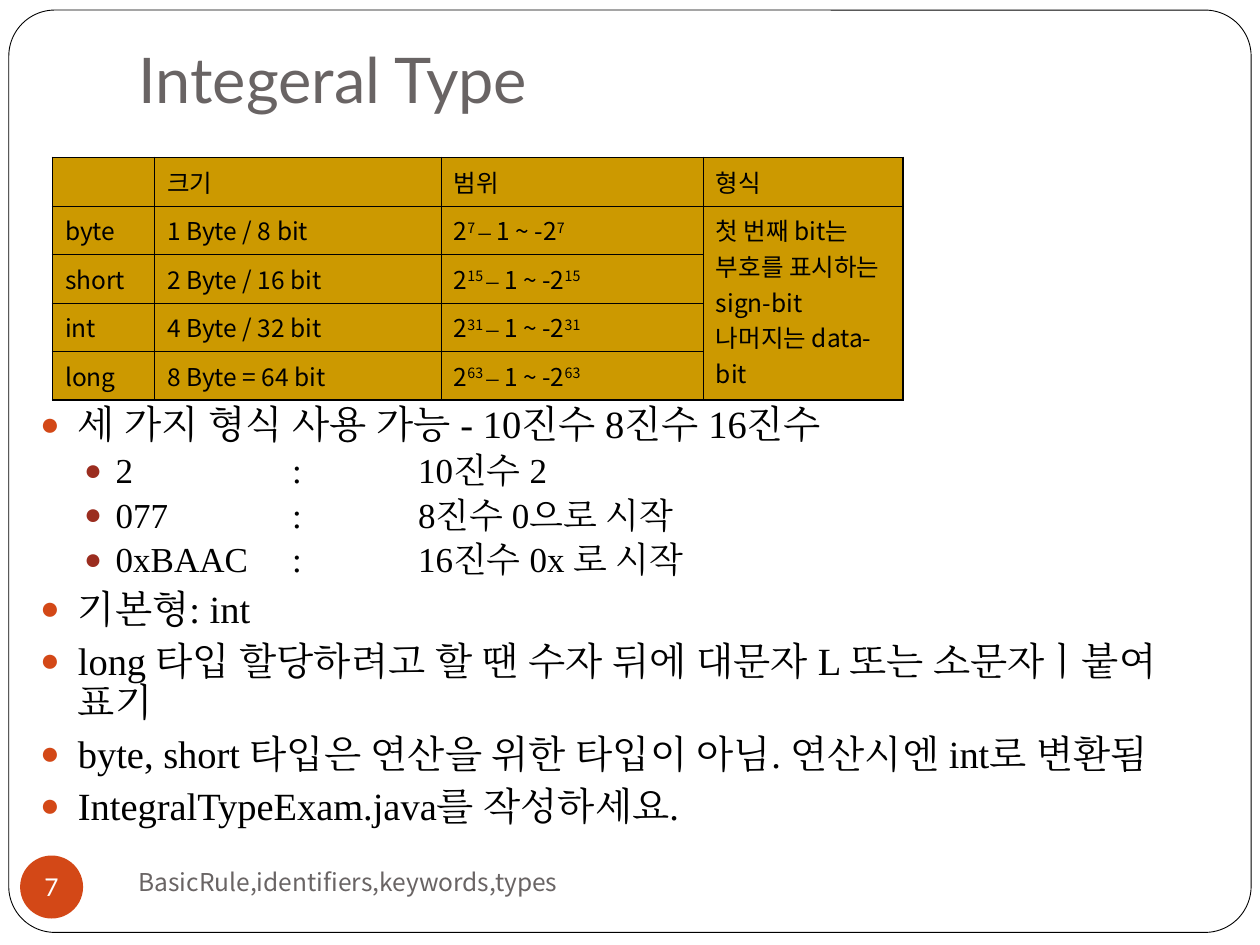
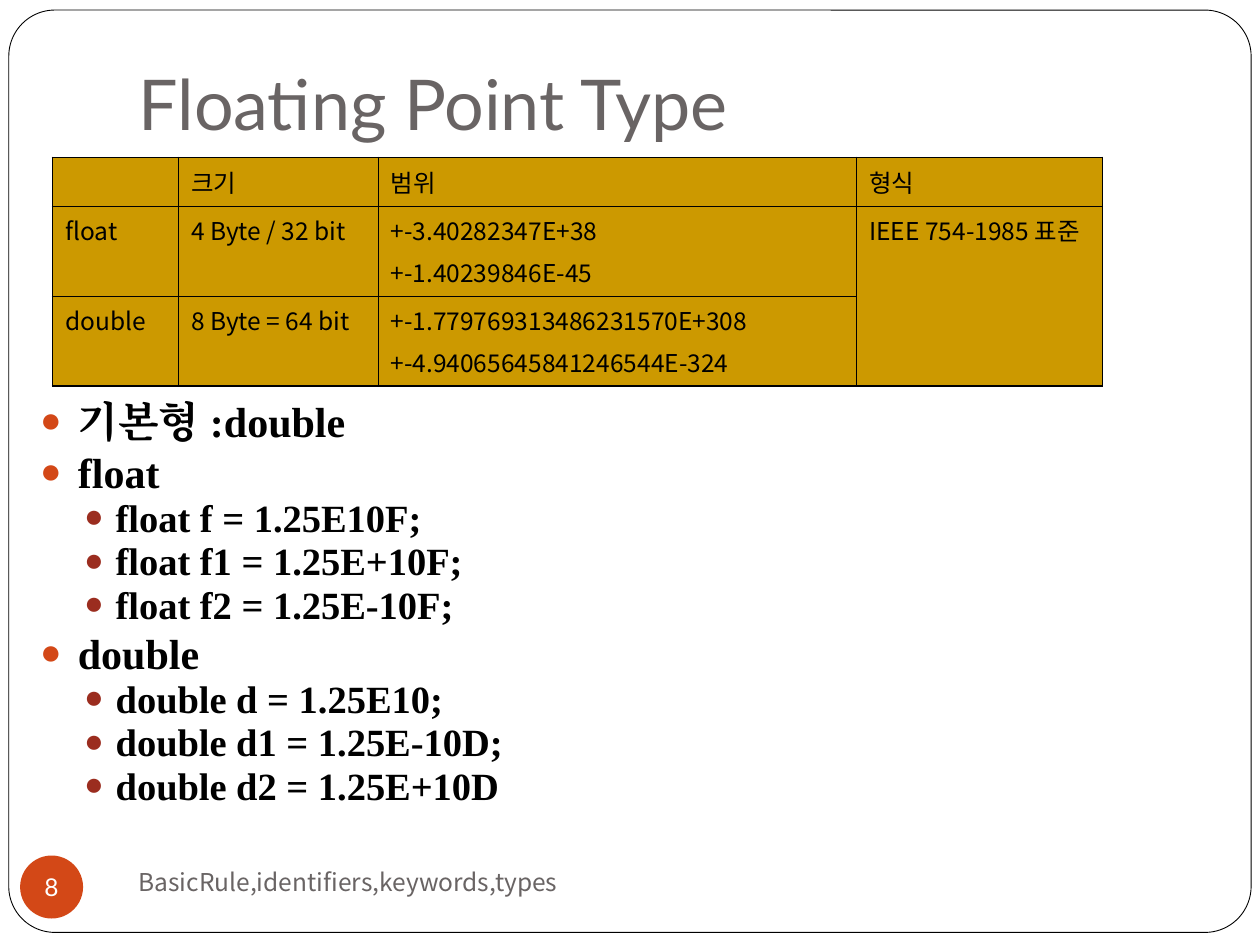
"""Builds two slides on the integral and floating point types of Java."""
from dataclasses import dataclass

from lxml.etree import SubElement
from pptx import Presentation
from pptx.dml.color import RGBColor
from pptx.enum.shapes import MSO_SHAPE
from pptx.enum.text import MSO_ANCHOR, PP_ALIGN
from pptx.oxml.ns import qn
from pptx.util import Inches, Pt

WIDTH, HEIGHT = Inches(10), Inches(7.5)
COLUMN, ROW = WIDTH / 100, HEIGHT / 75

BLACK = RGBColor(0x00, 0x00, 0x00)
WHITE = RGBColor(0xFF, 0xFF, 0xFF)
GRAY = RGBColor(0x69, 0x64, 0x64)
ORANGE = RGBColor(0xD3, 0x48, 0x17)
BRICK = RGBColor(0x9B, 0x2D, 0x1F)
OCHRE = RGBColor(0xCC, 0x99, 0x00)

HEADING_FONT, KOREAN_FONT, BODY_FONT = "Lato", "Noto Sans CJK KR", "Times New Roman"
FOOTER = "BasicRule,identifiers,keywords,types"
HEADER = ("", "크기", "범위", "형식")
OUTER_EDGE, INNER_EDGE = Pt(1.08), Pt(0.45)
CELL_SIZE = 14


@dataclass(frozen=True)
class Area:
    """A rectangle in columns and rows of the slide grid."""
    left: float
    top: float
    width: float
    height: float

    def place(self) -> tuple[int, int, int, int]:
        """Return left, top, width and height as lengths."""
        return (int(self.left * COLUMN), int(self.top * ROW),
                int(self.width * COLUMN), int(self.height * ROW))


FRAME_AREA = Area(0.7, 0.8, 98.6, 73.2)
FOOTER_AREA = Area(10, 67.5, 43.3, 5)
BADGE_AREA = Area(1.6, 67.9, 5, 5)
BODY_AREA = Area(2.2, 31.7, 96.7, 36.3)
TABLE_LEFT, TABLE_TOP, HEADER_HEIGHT = 4.17, 12.5, 3.85


@dataclass(frozen=True)
class Power:
    """The range of an integer type, given by its exponent."""
    exponent: int


@dataclass(frozen=True)
class BulletLevel:
    """Indents, spacing and bullet colour of one outline level."""
    margin: float
    hanging: float
    space_before: float
    color: RGBColor


LEVELS = (BulletLevel(0.3, 0.3, 5.8, ORANGE), BulletLevel(0.6, 0.25, 3.7, BRICK))


@dataclass(frozen=True)
class TypeTable:
    """Column widths, row height, body rows and the note beside them."""
    columns: tuple[float, ...]
    row_height: float
    rows: tuple[tuple[str | Power, ...], ...]
    note: str


@dataclass(frozen=True)
class Outline:
    """Bulleted lines as pairs of level and text, with their style."""
    lines: tuple[tuple[int, str], ...]
    sizes: tuple[int, int]
    line_spacing: float
    bold: bool = False


@dataclass(frozen=True)
class Topic:
    """The content of one slide."""
    number: int
    title: str
    title_size: int
    title_height: float
    table: TypeTable
    outline: Outline


INTEGRAL = Topic(
    7, "Integeral Type", 36, 7.2,
    TypeTable(
        (8.1, 22.75, 20.8, 15.85), 3.85,
        (("byte", "1 Byte / 8 bit", Power(7)),
         ("short", "2 Byte / 16 bit", Power(15)),
         ("int", "4 Byte / 32 bit", Power(31)),
         ("long", "8 Byte = 64 bit", Power(63))),
        "첫 번째 bit는 부호를 표시하는 sign-bit 나머지는 data-bit"),
    Outline(
        ((0, "세 가지 형식 사용 가능 - 10진수 8진수 16진수"),
         (1, "2\t\t:\t10진수 2"),
         (1, "077\t:\t8진수 0으로 시작"),
         (1, "0xBAAC\t:\t16진수 0x 로 시작"),
         (0, "기본형: int"),
         (0, "long 타입 할당하려고 할 땐 수자 뒤에 대문자 L 또는 소문자ㅣ붙여 표기"),
         (0, "byte, short 타입은 연산을 위한 타입이 아님. 연산시엔 int로 변환됨"),
         (0, "IntegralTypeExam.java를 작성하세요.")),
        (22, 20), 0.9))

FLOATING = Topic(
    8, "Floating Point Type", 40, 9.5,
    TypeTable(
        (10, 15.83, 38, 19.5), 7.15,
        (("float", "4 Byte / 32 bit", "+-3.40282347E+38\n+-1.40239846E-45"),
         ("double", "8 Byte = 64 bit",
          "+-1.779769313486231570E+308\n+-4.94065645841246544E-324")),
        "IEEE 754-1985 표준"),
    Outline(
        ((0, "기본형 :double"),
         (0, "float"),
         (1, "float f = 1.25E10F;"),
         (1, "float f1 = 1.25E+10F;"),
         (1, "float f2 = 1.25E-10F;"),
         (0, "double"),
         (1, "double d = 1.25E10;"),
         (1, "double d1 = 1.25E-10D;"),
         (1, "double d2 = 1.25E+10D")),
        (24, 22), 0.8, True))


def style_runs(paragraph, font: str, size: float, color: RGBColor, bold: bool = False) -> None:
    """Format every run of a paragraph, Latin and Hangul alike."""
    for run in paragraph.runs:
        run.font.name, run.font.size, run.font.bold = font, Pt(size), bold
        run.font.color.rgb = color
        SubElement(run.font._element, qn("a:ea"), typeface=font)


def draw_title(slide, topic: Topic) -> None:
    """Place and format the title placeholder."""
    title = slide.shapes.title
    title.left, title.top, title.width, title.height = Area(10, 3, 85, topic.title_height).place()
    frame = title.text_frame
    frame.text = topic.title
    frame.vertical_anchor = MSO_ANCHOR.BOTTOM
    frame.margin_bottom = Inches(0.1)
    frame.paragraphs[0].alignment = PP_ALIGN.LEFT
    style_runs(frame.paragraphs[0], HEADING_FONT, topic.title_size, GRAY)


def draw_frame(slide) -> None:
    """Draw the rounded page border behind the title."""
    border = slide.shapes.add_shape(MSO_SHAPE.ROUNDED_RECTANGLE, *FRAME_AREA.place())
    border.adjustments[0] = 0.05
    border.shadow.inherit = False
    border.fill.solid()
    border.fill.fore_color.rgb = WHITE
    border.line.color.rgb = BLACK
    border.line.width = Pt(0.5)
    slide.shapes.title.element.addprevious(border.element)


def draw_footer(slide, number: int) -> None:
    """Draw the footer text and the round page number."""
    footer = slide.shapes.add_textbox(*FOOTER_AREA.place())
    footer.text_frame.text = FOOTER
    footer.text_frame.word_wrap = True
    style_runs(footer.text_frame.paragraphs[0], KOREAN_FONT, 14, GRAY)

    badge = slide.shapes.add_shape(MSO_SHAPE.OVAL, *BADGE_AREA.place())
    badge.shadow.inherit = False
    badge.fill.solid()
    badge.fill.fore_color.rgb = ORANGE
    badge.line.fill.background()
    label = badge.text_frame
    label.text = str(number)
    label.word_wrap = False
    label.margin_left = label.margin_right = label.margin_top = label.margin_bottom = 0
    label.paragraphs[0].alignment = PP_ALIGN.CENTER
    style_runs(label.paragraphs[0], HEADING_FONT, 14, WHITE)
    for frame in (footer.text_frame, label):
        frame.vertical_anchor = MSO_ANCHOR.MIDDLE


def draw_outline(slide, outline: Outline) -> None:
    """Draw the two-level bulleted list."""
    frame = slide.shapes.add_textbox(*BODY_AREA.place()).text_frame
    frame.word_wrap = True
    frame.text = "\n".join(text for _, text in outline.lines)
    for paragraph, (depth, _) in zip(frame.paragraphs, outline.lines):
        level = LEVELS[depth]
        paragraph.level = depth
        paragraph.line_spacing = outline.line_spacing
        paragraph.space_before = Pt(level.space_before)
        style_runs(paragraph, BODY_FONT, outline.sizes[depth], BLACK, outline.bold)
        properties = paragraph._p.get_or_add_pPr()
        properties.set("marL", str(Inches(level.margin)))
        properties.set("indent", str(-Inches(level.hanging)))
        SubElement(SubElement(properties, qn("a:buClr")), qn("a:srgbClr"), val=str(level.color))
        SubElement(properties, qn("a:buSzPct"), val="85000")
        SubElement(properties, qn("a:buFont"), typeface=BODY_FONT)
        SubElement(properties, qn("a:buChar"), char="●")
        stops = SubElement(properties, qn("a:tabLst"))
        for inch in range(1, 9):
            SubElement(stops, qn("a:tab"), pos=str(Inches(inch)), algn="l")


def write_power(paragraph, power: Power) -> None:
    """Write an integer range with raised exponents."""
    raised = str(power.exponent)
    for text in ("2", f"{raised} ", "–", " 1 ~ -2", raised):
        paragraph.add_run().text = text
    style_runs(paragraph, KOREAN_FONT, CELL_SIZE, BLACK)
    paragraph.runs[2].font.name = BODY_FONT
    for index in (1, 4):
        paragraph.runs[index].font._element.set("baseline", "30000")


def fill_cell(cell, content: str | Power) -> None:
    """Write and format the content of one cell."""
    if isinstance(content, Power):
        write_power(cell.text_frame.paragraphs[0], content)
    else:
        cell.text_frame.text = content
        for paragraph in cell.text_frame.paragraphs:
            style_runs(paragraph, KOREAN_FONT, CELL_SIZE, BLACK)
    for paragraph in cell.text_frame.paragraphs:
        paragraph.space_before = Pt(3.5)
        if not paragraph.runs:
            SubElement(paragraph._p, qn("a:endParaRPr"), sz=str(CELL_SIZE * 100))


def edge_cell(cell, outer_sides: dict[str, bool]) -> None:
    """Draw the cell's borders, heavier on the table's outer sides, and its fill."""
    properties = cell._tc.get_or_add_tcPr()
    for side, outer in outer_sides.items():
        width = OUTER_EDGE if outer else INNER_EDGE
        edge = SubElement(properties, qn(f"a:ln{side}"), w=str(width))
        SubElement(SubElement(edge, qn("a:solidFill")), qn("a:srgbClr"), val=str(BLACK))
    cell.fill.solid()
    cell.fill.fore_color.rgb = OCHRE


def draw_table(slide, types: TypeTable) -> None:
    """Draw the table of types with one note cell spanning all body rows."""
    last_row, last_column = len(types.rows), len(types.columns) - 1
    heights = (HEADER_HEIGHT,) + (types.row_height,) * last_row
    area = Area(TABLE_LEFT, TABLE_TOP, sum(types.columns), sum(heights))
    table = slide.shapes.add_table(last_row + 1, last_column + 1, *area.place()).table
    table.first_row = table.horz_banding = False
    for column, width in zip(table.columns, types.columns):
        column.width = int(width * COLUMN)
    for row, height in zip(table.rows, heights):
        row.height = int(height * ROW)
    table.cell(1, last_column).merge(table.cell(last_row, last_column))

    for r, contents in enumerate((HEADER, *(row + (types.note,) for row in types.rows))):
        for c, content in enumerate(contents):
            cell = table.cell(r, c)
            if cell.is_spanned:
                continue
            bottom = r + cell.span_height - 1
            fill_cell(cell, content)
            edge_cell(cell, {"L": c == 0, "R": c == last_column,
                             "T": r == 0, "B": bottom == last_row})


def main() -> None:
    """Build and save the presentation."""
    presentation = Presentation()
    presentation.slide_width, presentation.slide_height = WIDTH, HEIGHT
    for topic in (INTEGRAL, FLOATING):
        slide = presentation.slides.add_slide(presentation.slide_layouts[5])
        draw_title(slide, topic)
        draw_frame(slide)
        draw_footer(slide, topic.number)
        draw_outline(slide, topic.outline)
        draw_table(slide, topic.table)
    presentation.save("out.pptx")


if __name__ == "__main__":
    main()
